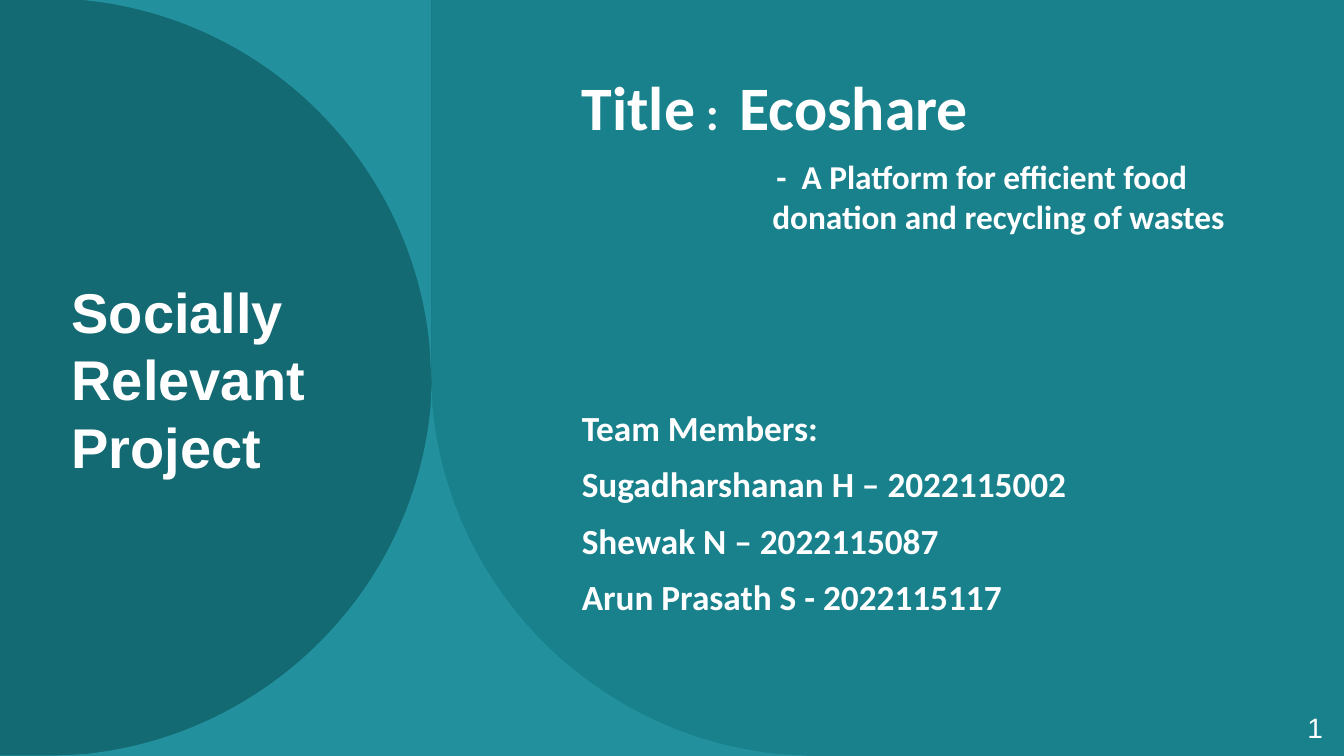
from lxml import etree
from pptx import Presentation
from pptx.dml.color import RGBColor
from pptx.enum.shapes import MSO_SHAPE
from pptx.enum.text import MSO_ANCHOR, MSO_AUTO_SIZE, PP_ALIGN
from pptx.oxml.ns import qn
from pptx.util import Inches, Pt

RECT = MSO_SHAPE.RECTANGLE
TOP, MIDDLE = MSO_ANCHOR.TOP, MSO_ANCHOR.MIDDLE
LEFT, RIGHT = PP_ALIGN.LEFT, PP_ALIGN.RIGHT
NO_FIT = MSO_AUTO_SIZE.NONE

WHITE, TEAL, DARK, TINT = "FFFFFF", "18818C", "126169", "4ED3E1"
WIDTH, HEIGHT = 13.33, 7.5
SUBTITLE = "-  A Platform for efficient food donation and recycling of wastes"
TEAM = [
    "Team Members:",
    "Sugadharshanan H – 2022115002",
    "Shewak N – 2022115087",
    "Arun Prasath S - 2022115117",
]


def rgb(hex_color):
    return RGBColor.from_string(hex_color)


def paint(sp, color, alpha=100):
    """Flat fill without line or shadow; alpha is the opacity in percent."""
    sp.fill.solid()
    sp.fill.fore_color.rgb = rgb(color)
    sp.line.fill.background()
    sp.shadow.inherit = False
    if alpha < 100:
        clr = sp.element.spPr.find(qn("a:solidFill"))[0]
        etree.SubElement(clr, qn("a:alpha"), val=str(alpha * 1000))


def add_rect(s, box, color, alpha=100):
    paint(s.shapes.add_shape(RECT, *map(Inches, box)), color, alpha)


def bend(sp, starts):
    """Turn the three line segments from each start index into one cubic curve."""
    lines = list(sp.element.iter(qn("a:lnTo")))
    for start in starts:
        first, *others = lines[start:start + 3]
        first.tag = qn("a:cubicBezTo")
        for line in others:
            first.append(line[0])
            line.getparent().remove(line)


def add_outline(s, points, curves):
    """Closed outline in teal, lightened by a translucent tint on top."""
    points = [(Inches(x), Inches(y)) for x, y in points]
    for color, alpha in ((TEAL, 100), (TINT, 20)):
        builder = s.shapes.build_freeform(*points[0], scale=1)
        builder.add_line_segments(points[1:], close=True)
        sp = builder.convert_to_shape()
        bend(sp, curves)
        paint(sp, color, alpha)


def add_backdrop(s, x, y, w, h):
    edge, bottom = x + 4.28, y + h
    add_rect(s, (x, y - 0.01, w, h + 0.01), TEAL)
    add_rect(s, (x - 0.01, y, 4.29, h - 0.01), DARK, 70)
    corner = [(edge - 3.67, y - 0.01), (edge, y - 0.01), (edge, y + 3.78),
              (edge - 0.02, y + 3.42), (edge - 0.2, y + 1.61),
              (edge - 1.65, y + 0.17), (edge - 3.46, y)]
    add_outline(s, corner, [3])

    left_side = [(edge - dx, bottom - dy) for dx, dy in
                 ((3.79, 0), (3.43, 0.02), (1.62, 0.21), (0.18, 1.65), (0.01, 3.46))]
    right_side = [(2 * edge - px, py) for px, py in reversed(left_side)]
    add_outline(s, left_side + [(edge, bottom - 3.67)] + right_side, [1, 6])


def place(sp, box, anchor):
    sp.left, sp.top, sp.width, sp.height = map(Inches, box)
    tf = sp.text_frame
    for name, value in {"word_wrap": True, "auto_size": NO_FIT,
                        "vertical_anchor": anchor}.items():
        setattr(tf, name, value)
    return tf


def write(p, runs, font="Calibri", bold=True, align=LEFT, spacing=1.0, before=0,
          margin=0, indent=0):
    """Fill a paragraph with (text, size) runs; margin and indent in inches."""
    for name, value in {"alignment": align, "line_spacing": spacing,
                        "space_before": Pt(before), "space_after": Pt(0)}.items():
        setattr(p, name, value)
    pPr = p._p.get_or_add_pPr()
    pPr.set("marL", str(Inches(margin)))
    pPr.set("indent", str(Inches(indent)))
    etree.SubElement(pPr, qn("a:buNone"))
    for text, size in runs:
        r = p.add_run()
        r.text = text
        for name, value in {"name": font, "size": Pt(size), "bold": bold}.items():
            setattr(r.font, name, value)
        r.font.color.rgb = rgb(WHITE)


def add_title(s, *box):
    sp = s.shapes.title
    s.shapes.element.append(sp.element)
    tf = place(sp, box, MIDDLE)
    write(tf.paragraphs[0], [("Socially Relevant Project", 40)], "Arial")


def add_details(s, *box):
    sp = s.placeholders[1]
    s.shapes.element.append(sp.element)
    tf = place(sp, box, TOP)
    tf.margin_top = 0
    write(tf.paragraphs[0], [("Title", 44.1), (" : ", 33.6),
                             (" ", 30.1), ("Ecoshare", 44.1)])
    write(tf.add_paragraph(), [(SUBTITLE, 23.8)], before=10, margin=1.89, indent=0.04)
    for i, line in enumerate(TEAM):
        write(tf.add_paragraph(), [(line, 25.2)], before=10 if i else 121)


def add_page_number(s, *box):
    tf = place(s.shapes.add_textbox(*map(Inches, box)), box, MIDDLE)
    write(tf.paragraphs[0], [("1", 20)], "Arial", bold=False, align=RIGHT, spacing=0.9)


def main():
    prs = Presentation()
    prs.slide_width, prs.slide_height = Inches(WIDTH), Inches(HEIGHT)
    s = prs.slides.add_slide(prs.slide_layouts[1])
    add_backdrop(s, 0, 0, WIDTH, HEIGHT)
    add_title(s, 0.61, 0.75, 3.33, 6.01)
    add_details(s, 5.67, 0.68, 7.17, 6.08)
    add_page_number(s, 12.46, 7.04, 0.76, 0.4)
    prs.save("out.pptx")


if __name__ == "__main__":
    main()
